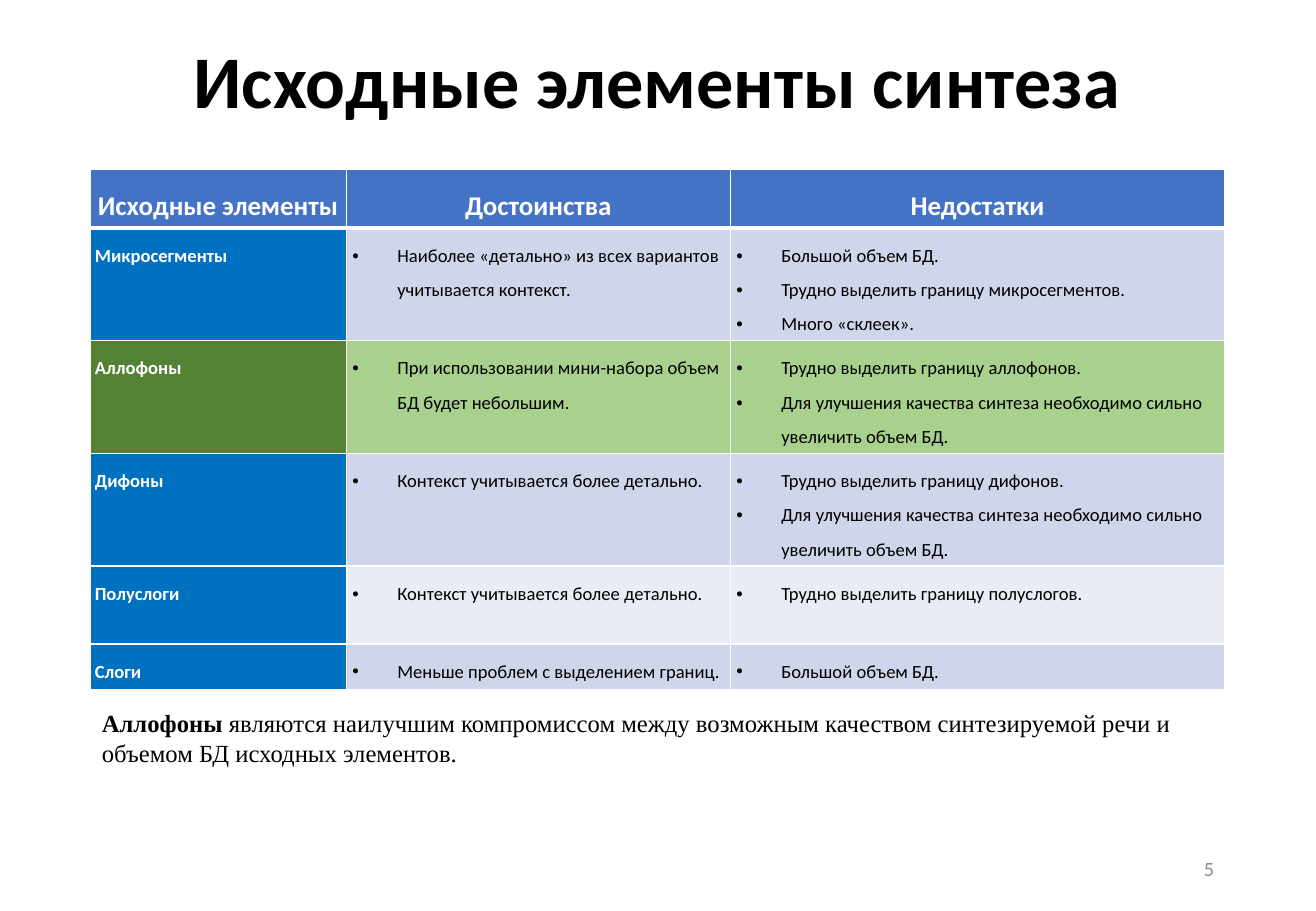
from lxml import etree
from pptx import Presentation
from pptx import util as u
from pptx.dml import color
from pptx.enum import text
from pptx.oxml import ns

PX = 9144
WHITE, BLACK, BLUE, HEAD = "FFFFFF", "000000", "0070C0", "4472C4"
GREEN, LIGHT_GREEN, BAND, LIGHT_BAND = "548235", "A9D18E", "CFD5EA", "E9EBF5"
HEADINGS = ["Исходные элементы", "Достоинства", "Недостатки"]
COLUMNS = [211, 316, 407]
HEIGHTS = [44, 90, 90, 90, 64, 38]
MORE_DATA = "Для улучшения качества синтеза необходимо сильно увеличить объем БД."
ELEMENTS = [
    ("Микросегменты", ["Наиболее «детально» из всех вариантов учитывается контекст."],
     ["Большой объем БД.", "Трудно выделить границу микросегментов.", "Много «склеек»."],
     BLUE, BAND),
    ("Аллофоны", ["При использовании мини-набора объем БД будет небольшим."],
     ["Трудно выделить границу аллофонов.", MORE_DATA], GREEN, LIGHT_GREEN),
    ("Дифоны", ["Контекст учитывается более детально."],
     ["Трудно выделить границу дифонов.", MORE_DATA], BLUE, BAND),
    ("Полуслоги", ["Контекст учитывается более детально."],
     ["Трудно выделить границу полуслогов."], BLUE, LIGHT_BAND),
    ("Слоги", ["Меньше проблем с выделением границ."],
     ["Большой объем БД."], BLUE, BAND),
]


def px(n):
    """Turn a length in px into EMU."""
    return u.Emu(n * PX)


def rgb(value):
    """Turn a hex string into a colour."""
    return color.RGBColor.from_string(value)


def format_runs(p, size, fill, bold=False, name="Calibri"):
    """Set the font of every run in a paragraph."""
    for r in p.runs:
        r.font.name, r.font.size, r.font.bold = name, u.Pt(size), bold
        r.font.color.rgb = rgb(fill)


def add_bullet(p):
    """Give a paragraph a round bullet and a hanging indent."""
    pPr = p._p.get_or_add_pPr()
    pPr.set("marL", str(px(38)))
    pPr.set("indent", str(px(-37)))
    etree.SubElement(pPr, ns.qn("a:buFont")).set("typeface", "Arial")
    etree.SubElement(pPr, ns.qn("a:buChar")).set("char", "•")


def add_border(cell, side, width):
    """Draw one white side of a cell."""
    ln = etree.SubElement(cell._tc.get_or_add_tcPr(), ns.qn("a:ln" + side))
    ln.set("w", str(u.Pt(width)))
    fill = etree.SubElement(ln, ns.qn("a:solidFill"))
    etree.SubElement(fill, ns.qn("a:srgbClr")).set("val", WHITE)


def fill_cell(cell, lines, fill, size, ink, bold, widths, align=None, bullets=False):
    """Fill a cell with formatted lines, borders and a background."""
    cell.margin_left = cell.margin_right = cell.margin_top = cell.margin_bottom = px(4)
    for side, width in zip("LRTB", widths):
        add_border(cell, side, width)
    cell.fill.solid()
    cell.fill.fore_color.rgb = rgb(fill)
    cell.text_frame.text = "\n".join(lines)
    for p in cell.text_frame.paragraphs:
        p.line_spacing, p.alignment = 1.5, align
        if bullets:
            add_bullet(p)
        format_runs(p, size, ink, bold)


def add_title(s, title):
    """Place and format the slide title."""
    sp = s.shapes.title
    sp.left, sp.top, sp.width, sp.height = px(74), px(24), px(934), px(91)
    tf = sp.text_frame
    tf.text = title
    tf.auto_size = text.MSO_AUTO_SIZE.NONE
    tf.vertical_anchor = text.MSO_ANCHOR.MIDDLE
    p = tf.paragraphs[0]
    p.alignment, p.line_spacing = text.PP_ALIGN.CENTER, 0.9
    format_runs(p, 44, BLACK, True)


def add_comparison(s):
    """Add the table of synthesis elements."""
    table = s.shapes.add_table(len(HEIGHTS), len(COLUMNS), px(74), px(139),
                               px(sum(COLUMNS)), px(sum(HEIGHTS))).table
    table.horz_banding = False
    for column, width in zip(table.columns, COLUMNS):
        column.width = px(width)
    for row, height in zip(table.rows, HEIGHTS):
        row.height = px(height)
    for i, heading in enumerate(HEADINGS):
        fill_cell(table.cell(0, i), [heading], HEAD, 16, WHITE, True,
                  (1, 1, 1, 3), text.PP_ALIGN.CENTER)
    for i, (name, pros, cons, name_fill, fill) in enumerate(ELEMENTS, 1):
        widths = (1, 1, 3 if i == 1 else 1, 1)
        fill_cell(table.cell(i, 0), [name], name_fill, 11, WHITE, True, widths)
        for j, lines in enumerate((pros, cons), 1):
            fill_cell(table.cell(i, j), lines, fill, 11, BLACK, False, widths, bullets=True)


def add_text(s, x, y, w, h):
    """Add a wrapping text box and return its text frame."""
    tf = s.shapes.add_textbox(px(x), px(y), px(w), px(h)).text_frame
    tf.word_wrap = True
    return tf


def add_conclusion(s, lead, rest):
    """Add the conclusion with a bold first word."""
    p = add_text(s, 74, 578, 934, 59).paragraphs[0]
    for part in (lead, rest):
        p.add_run().text = part
    format_runs(p, 14.6, BLACK, name="Times New Roman")
    p.runs[0].font.bold = True


def add_number(s, number):
    """Add the slide number at the bottom right."""
    tf = add_text(s, 765, 695, 244, 40)
    tf.text = number
    tf.vertical_anchor = text.MSO_ANCHOR.MIDDLE
    tf.paragraphs[0].alignment = text.PP_ALIGN.RIGHT
    format_runs(tf.paragraphs[0], 12, "8C8C8C")


def main():
    """Build the slide and save it."""
    prs = Presentation()
    prs.slide_width, prs.slide_height = px(1083), px(750)
    s = prs.slides.add_slide(prs.slide_layouts[5])
    add_title(s, "Исходные элементы синтеза")
    add_comparison(s)
    add_number(s, "5")
    add_conclusion(s, "Аллофоны ", "являются наилучшим компромиссом между возможным "
                   "качеством синтезируемой речи и объемом БД исходных элементов.")
    prs.save("out.pptx")


if __name__ == "__main__":
    main()
